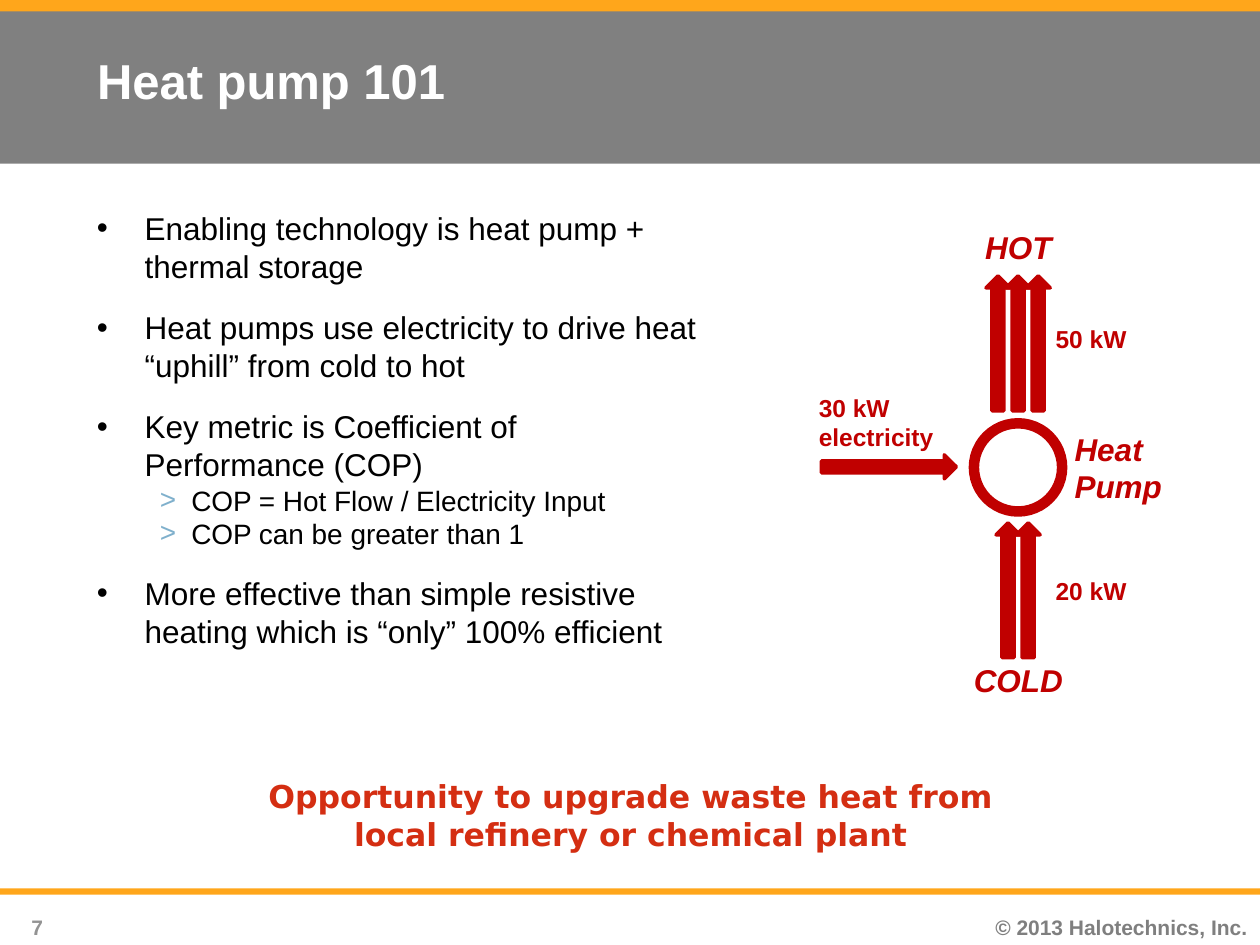
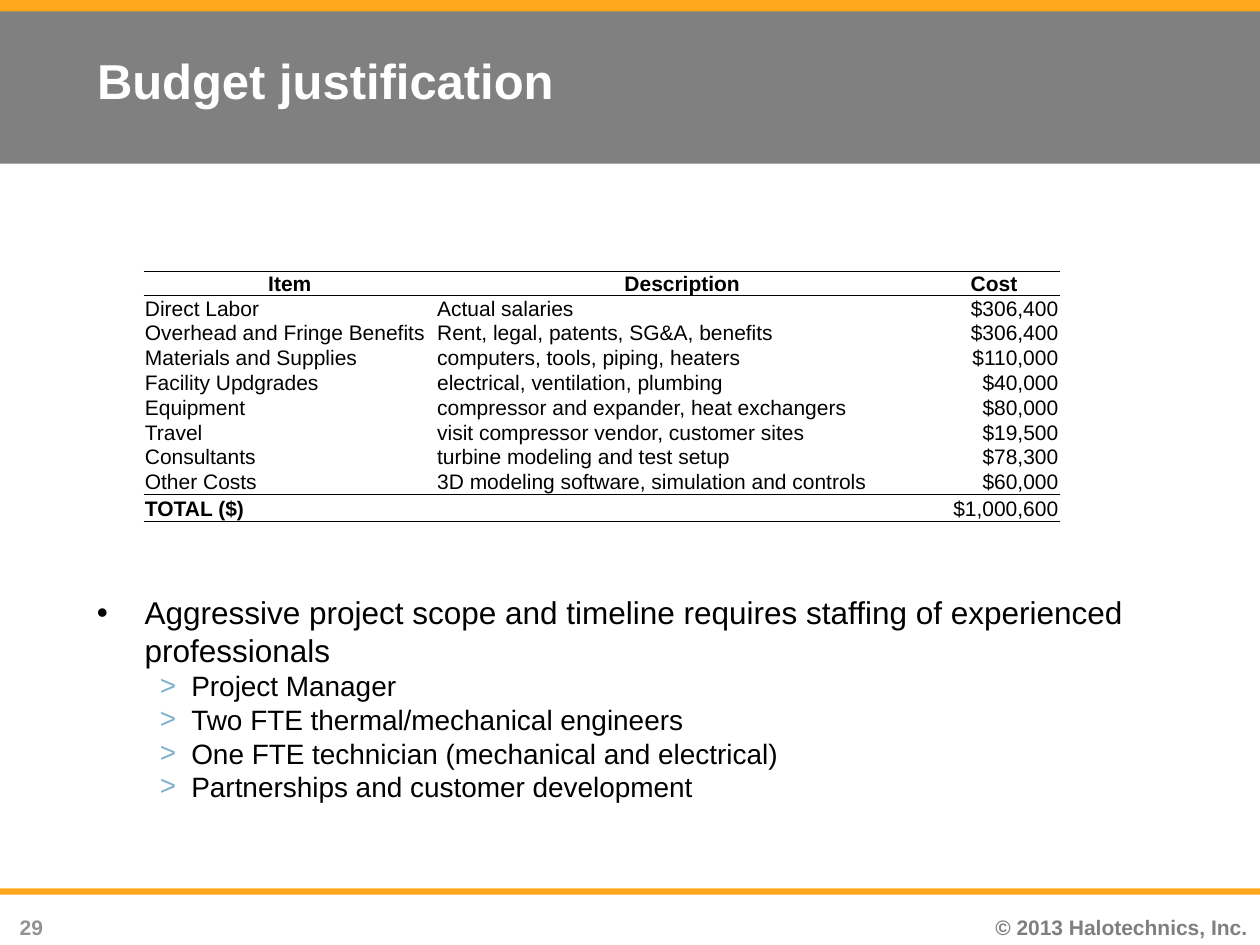
from dataclasses import dataclass

from lxml.etree import SubElement
from pptx import Presentation
from pptx.dml.color import RGBColor
from pptx.enum.shapes import MSO_SHAPE as Shape
from pptx.enum.text import MSO_ANCHOR as Anchor, PP_ALIGN as Align
from pptx.oxml.ns import qn
from pptx.util import Inches, Pt


@dataclass(frozen=True)
class Theme:
    font: str = "Arial"
    callout_font: str = "DejaVu Sans"
    band: str = "808080"
    accent: str = "FFA61B"
    copyright: str = "7F7F7F"
    page: str = "939393"
    heat: str = "C00000"
    callout: str = "D42E12"
    marker: str = "7FB0CC"
    text: str = "000000"
    white: str = "FFFFFF"
    title_size: int = 28
    body_size: int = 18
    detail_size: int = 16
    label_size: int = 14
    small_size: int = 12
    paragraph_gap: float = 13.5


class Deck:
    def __init__(self, theme):
        self.theme = theme
        self.presentation = Presentation()
        self.presentation.slide_width = Inches(10)
        self.presentation.slide_height = Inches(7.5)
        self.slide = None

    def start_slide(self, heading, page):
        theme = self.theme
        self.slide = self.presentation.slides.add_slide(self.presentation.slide_layouts[5])
        for top, height, color in ((0, 1.3, theme.band), (7.05, 0.05, theme.accent), (0, 0.09, theme.accent)):
            self.shape(Shape.RECTANGLE, (0, top, 10, height), fill=color)
        self.text((7.51, 7.21, 2.49, 0.29), ["© 2013 Halotechnics, Inc."], theme.small_size,
                  theme.copyright, align=Align.RIGHT)
        self.text((0, 7.21, 0.44, 0.26), [page], theme.small_size, theme.page, align=Align.RIGHT)

        title = self.slide.shapes.title
        self.slide.shapes.element.append(title.element)
        title.left, title.top, title.width, title.height = map(Inches, (0.67, -0.02, 9, 1.31))
        title.text_frame.vertical_anchor = Anchor.MIDDLE
        paragraph = title.text_frame.paragraphs[0]
        paragraph.alignment = Align.LEFT
        self.run(paragraph, heading, theme.title_size, theme.white, bold=True)

    def run(self, paragraph, words, size, color, bold=False, italic=False, font=None):
        run = paragraph.add_run()
        run.text = words
        run.font.name = font or self.theme.font
        run.font.size = Pt(size)
        run.font.bold = bold
        run.font.italic = italic
        run.font.color.rgb = RGBColor.from_string(color)

    def shape(self, kind, box, fill=None, line=None, weight=0):
        shape = self.slide.shapes.add_shape(kind, *map(Inches, box))
        shape.shadow.inherit = False
        if fill:
            shape.fill.solid()
            shape.fill.fore_color.rgb = RGBColor.from_string(fill)
        else:
            shape.fill.background()
        if line:
            shape.line.color.rgb = RGBColor.from_string(line)
            shape.line.width = Pt(weight)
        else:
            shape.line.fill.background()

    def frame(self, box, wrap=True):
        frame = self.slide.shapes.add_textbox(*map(Inches, box)).text_frame
        frame.word_wrap = wrap
        return frame

    def paragraphs(self, frame, items):
        for index, item in enumerate(items):
            yield frame.add_paragraph() if index else frame.paragraphs[0], item

    def text(self, box, lines, size, color, align=Align.LEFT, italic=False, font=None, wrap=True):
        for paragraph, line in self.paragraphs(self.frame(box, wrap), lines):
            paragraph.alignment = align
            self.run(paragraph, line, size, color, True, italic, font)

    def label(self, box, *lines):
        self.text(box, lines, self.theme.label_size, self.theme.heat, wrap=False)

    def node_name(self, box, *lines):
        self.text(box, lines, self.theme.body_size, self.theme.heat, italic=True, wrap=False)

    def arrow(self, kind, box):
        self.shape(kind, box, fill=self.theme.heat, line=self.theme.heat, weight=2)

    def up_arrows(self, count, center, top, pitch=0.16, width=0.19, height=1.07):
        first = center - (count - 1) * pitch / 2 - width / 2
        for index in range(count):
            self.arrow(Shape.UP_ARROW, (first + index * pitch, top, width, height))

    def bullets(self, box, items):
        theme = self.theme
        for paragraph, (level, words) in self.paragraphs(self.frame(box), items):
            paragraph.level = level
            indent, hanging = ((0.38, 0.38), (0.75, 0.25))[level]
            properties = paragraph._p.get_or_add_pPr()
            properties.set("marL", str(Inches(indent)))
            properties.set("indent", str(-Inches(hanging)))
            if level == 0 and words != items[0][1]:
                paragraph.space_before = Pt(theme.paragraph_gap)
            if level:
                color = SubElement(properties, qn("a:buClr"))
                SubElement(color, qn("a:srgbClr"), val=theme.marker)
            SubElement(properties, qn("a:buFont"), typeface=theme.font)
            SubElement(properties, qn("a:buChar"), char="•>"[level])
            self.run(paragraph, words, (theme.body_size, theme.detail_size)[level], theme.text)

    def borders(self, cell, ruled_sides):
        properties = cell._tc.get_or_add_tcPr()
        for side in "LRTB":
            line = SubElement(properties, qn(f"a:ln{side}"), w=str(Pt(0.5)))
            if side in ruled_sides:
                fill = SubElement(line, qn("a:solidFill"))
                SubElement(fill, qn("a:srgbClr"), val=self.theme.text)
            else:
                SubElement(line, qn("a:noFill"))

    def table(self, left, top, widths, row_height, rows):
        theme = self.theme
        last = len(rows) - 1
        ruled_edges = {0, 1, last, last + 1}
        table = self.slide.shapes.add_table(
            len(rows), len(widths), Inches(left), Inches(top),
            Inches(sum(widths)), Inches(row_height * len(rows))).table
        table.first_row = table.horz_banding = False
        for column, width in zip(table.columns, widths):
            column.width = Inches(width)
        for r, values in enumerate(rows):
            table.rows[r].height = Inches(row_height)
            for c, value in enumerate(values):
                cell = table.cell(r, c)
                cell.margin_left = cell.margin_right = cell.margin_top = Inches(0.01)
                cell.margin_bottom = 0
                cell.vertical_anchor = Anchor.BOTTOM
                ruled_sides = {side for side, edge in (("T", r), ("B", r + 1)) if edge in ruled_edges}
                self.borders(cell, ruled_sides)
                cell.fill.background()
                paragraph = cell.text_frame.paragraphs[0]
                paragraph.alignment = Align.CENTER if r == 0 else (Align.LEFT, Align.LEFT, Align.RIGHT)[c]
                if value:
                    bold = r == 0 or (r == last and c == 0)
                    self.run(paragraph, value, theme.small_size, theme.text, bold)
                else:
                    SubElement(paragraph._p, qn("a:endParaRPr"), sz=str(theme.small_size * 100))


def heat_pump_slide(deck):
    theme = deck.theme
    deck.start_slide("Heat pump 101", "7")
    deck.bullets((0.67, 1.61, 5.03, 4.95), [
        (0, "Enabling technology is heat pump + thermal storage"),
        (0, "Heat pumps use electricity to drive heat “uphill” from cold to hot"),
        (0, "Key metric is Coefficient of Performance (COP)"),
        (1, "COP = Hot Flow / Electricity Input"),
        (1, "COP can be greater than 1"),
        (0, "More effective than simple resistive heating which is “only” 100% efficient"),
    ])
    pump_center = 8.08
    deck.shape(Shape.OVAL, (pump_center - 0.35, 3.36, 0.7, 0.7), line=theme.heat, weight=6)
    deck.arrow(Shape.RIGHT_ARROW, (6.52, 3.61, 1.07, 0.19))
    deck.up_arrows(2, pump_center, 4.15)
    deck.up_arrows(3, pump_center, 2.19)
    deck.label((6.4, 3.07, 1.12, 0.57), "30 kW", "electricity")
    deck.label((8.28, 4.52, 0.77, 0.34), "20 kW")
    deck.label((8.28, 2.52, 0.77, 0.34), "50 kW")
    deck.node_name((8.43, 3.36, 0.9, 0.71), "Heat", "Pump")
    deck.node_name((7.63, 5.2, 0.92, 0.4), "COLD")
    deck.node_name((7.72, 1.76, 0.73, 0.4), "HOT")
    deck.text((1.76, 6.12, 6.49, 0.71),
              ["Opportunity to upgrade waste heat from local refinery or chemical plant"],
              theme.body_size, theme.callout, align=Align.CENTER, font=theme.callout_font)


def budget_slide(deck):
    deck.start_slide("Budget justification", "29")
    deck.table(1.14, 2.15, (2.32, 3.91, 1.04), 0.18, [
        ("Item", "Description", "Cost"),
        ("Direct Labor", "Actual salaries", "$306,400"),
        ("Overhead and Fringe Benefits", "Rent, legal, patents, SG&A, benefits", "$306,400"),
        ("Materials and Supplies", "computers, tools, piping, heaters", "$110,000"),
        ("Facility Updgrades", "electrical, ventilation, plumbing", "$40,000"),
        ("Equipment", "compressor and expander, heat exchangers", "$80,000"),
        ("Travel", "visit compressor vendor, customer sites", "$19,500"),
        ("Consultants", "turbine modeling and test setup", "$78,300"),
        ("Other Costs", "3D modeling software, simulation and controls", "$60,000"),
        ("TOTAL ($)", "", "$1,000,600"),
    ])
    deck.bullets((0.67, 4.66, 8.82, 1.84), [
        (0, "Aggressive project scope and timeline requires staffing of experienced professionals"),
        (1, "Project Manager"),
        (1, "Two FTE thermal/mechanical engineers"),
        (1, "One FTE technician (mechanical and electrical)"),
        (1, "Partnerships and customer development"),
    ])


def main():
    deck = Deck(Theme())
    heat_pump_slide(deck)
    budget_slide(deck)
    deck.presentation.save("out.pptx")


if __name__ == "__main__":
    main()
